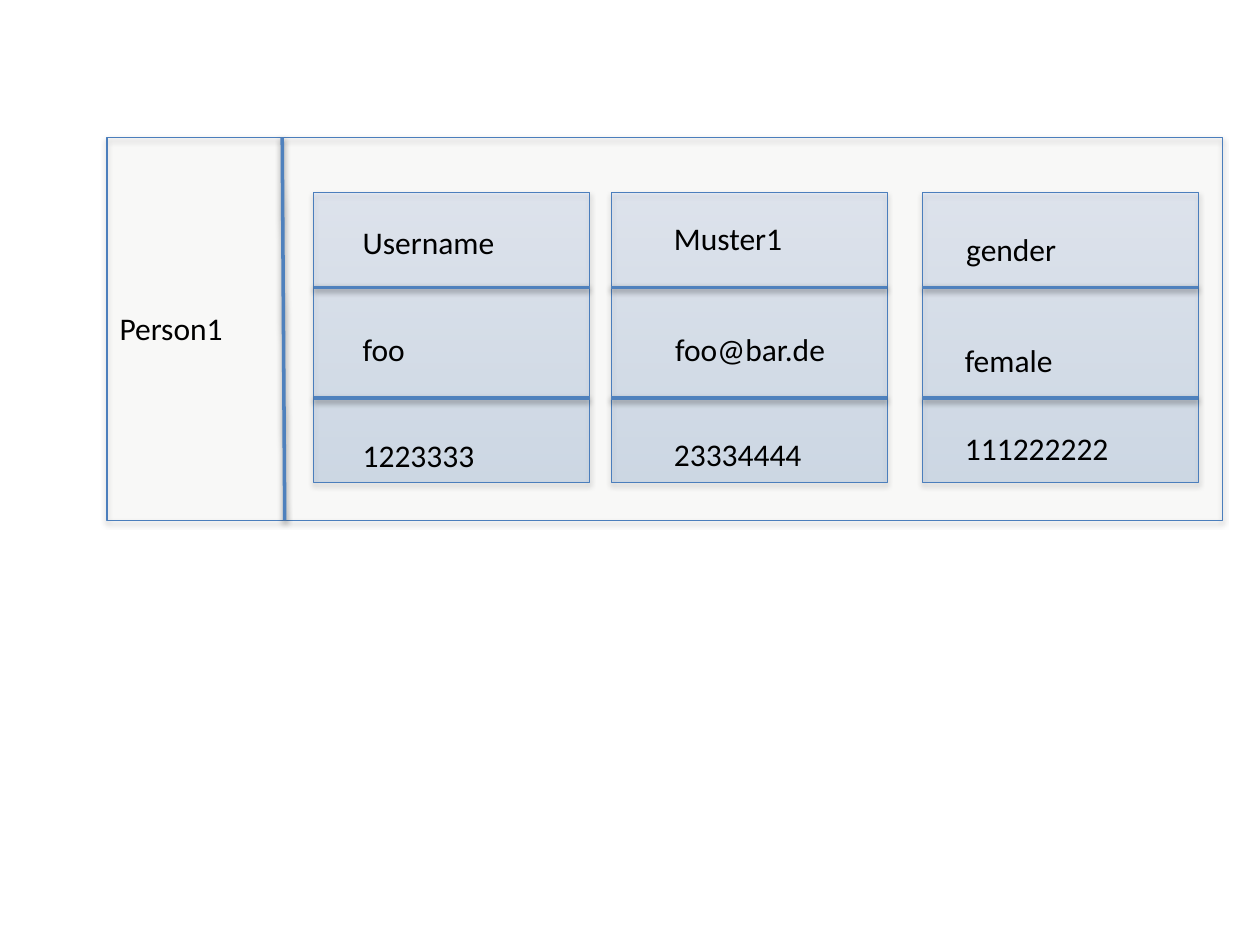
from lxml import etree
from pptx import Presentation
from pptx import util as u
from pptx.dml.color import RGBColor
from pptx.enum import shapes, text
from pptx.oxml.ns import qn

PX = 9144


def px(*lengths):
    return [u.Emu(length * PX) for length in lengths]


def colour(value):
    return RGBColor.from_string(value)


def add_element(parent, tag, **values):
    attributes = {name: str(value) for name, value in values.items()}
    return etree.SubElement(parent, qn(tag), attributes)


class Painter:
    """Holds the style and the current slide and draws each kind of element."""

    font = {"name": "Calibri", "size": u.Pt(18)}
    frame = {"word_wrap": True, "auto_size": text.MSO_AUTO_SIZE.SHAPE_TO_FIT_TEXT}
    ink, border, rule = "000000", "4B7EBC", "4F81BD"

    def __init__(self, page):
        self.page = page

    def shadow(self, properties, distance, opacity):
        for old in properties.findall(qn("a:effectLst")):
            properties.remove(old)
        effects = add_element(properties, "a:effectLst")
        outer = add_element(effects, "a:outerShdw", blurRad=40000, dist=distance,
                            dir=5400000, rotWithShape=0)
        shade = add_element(outer, "a:srgbClr", val=self.ink)
        add_element(shade, "a:alpha", val=opacity * 1000)

    def panel(self, left, top, width, height, fills, opacity, weight):
        box = self.page.shapes.add_shape(
            shapes.MSO_SHAPE.RECTANGLE, *px(left, top, width, height))
        if len(fills) == 1:
            box.fill.solid()
            box.fill.fore_color.rgb = colour(fills[0])
        else:
            box.fill.gradient()
            box.fill.gradient_angle = 90
            for stop, value in zip(box.fill.gradient_stops, fills):
                stop.color.rgb = colour(value)
        properties = box._element.spPr
        for tint in properties.iter(qn("a:srgbClr")):
            add_element(tint, "a:alpha", val=opacity * 1000)
        box.line.color.rgb = colour(self.border)
        box.line.width = u.Pt(weight)
        self.shadow(properties, 23000, 35)

    def line(self, *ends):
        connector = self.page.shapes.add_connector(
            shapes.MSO_CONNECTOR.STRAIGHT, *px(*ends))
        connector.line.color.rgb = colour(self.rule)
        connector.line.width = u.Pt(2)
        self.shadow(connector._element.spPr, 20000, 38)

    def label(self, words, left, top, width=125):
        box = self.page.shapes.add_textbox(*px(left, top, width, 40))
        for name, value in self.frame.items():
            setattr(box.text_frame, name, value)
        para = box.text_frame.paragraphs[0]
        span = para.add_run()
        span.text = words
        for name, value in self.font.items():
            setattr(span.font, name, value)
        span.font.color.rgb = colour(self.ink)


def main():
    deck = Presentation()
    deck.slide_width, deck.slide_height = px(1000, 750)
    painter = Painter(deck.slides.add_slide(deck.slide_layouts[6]))

    painter.panel(85, 109, 885, 304, ["EEECE1"], 7, 0.75)
    painter.line(224, 109, 226, 413)
    painter.label("Person1", 85, 240)

    cards = {
        249: [("Username", 278, 172), ("foo", 278, 257), ("1223333", 278, 341)],
        485: [("Muster1", 525, 169), ("foo@bar.de", 526, 257, 163),
              ("23334444", 525, 340)],
        732: [("gender", 757, 178), ("female", 756, 266),
              ("111222222", 756, 336, 161)],
    }
    card_width = 219
    for left, labels in cards.items():
        painter.panel(left, 153, card_width, 230, ["3F80CE", "A4C4FF"], 17, 0.5)
        for y in (228, 316):
            painter.line(left, y, left + card_width, y)
        for label in labels:
            painter.label(*label)

    deck.save("out.pptx")


if __name__ == "__main__":
    main()
